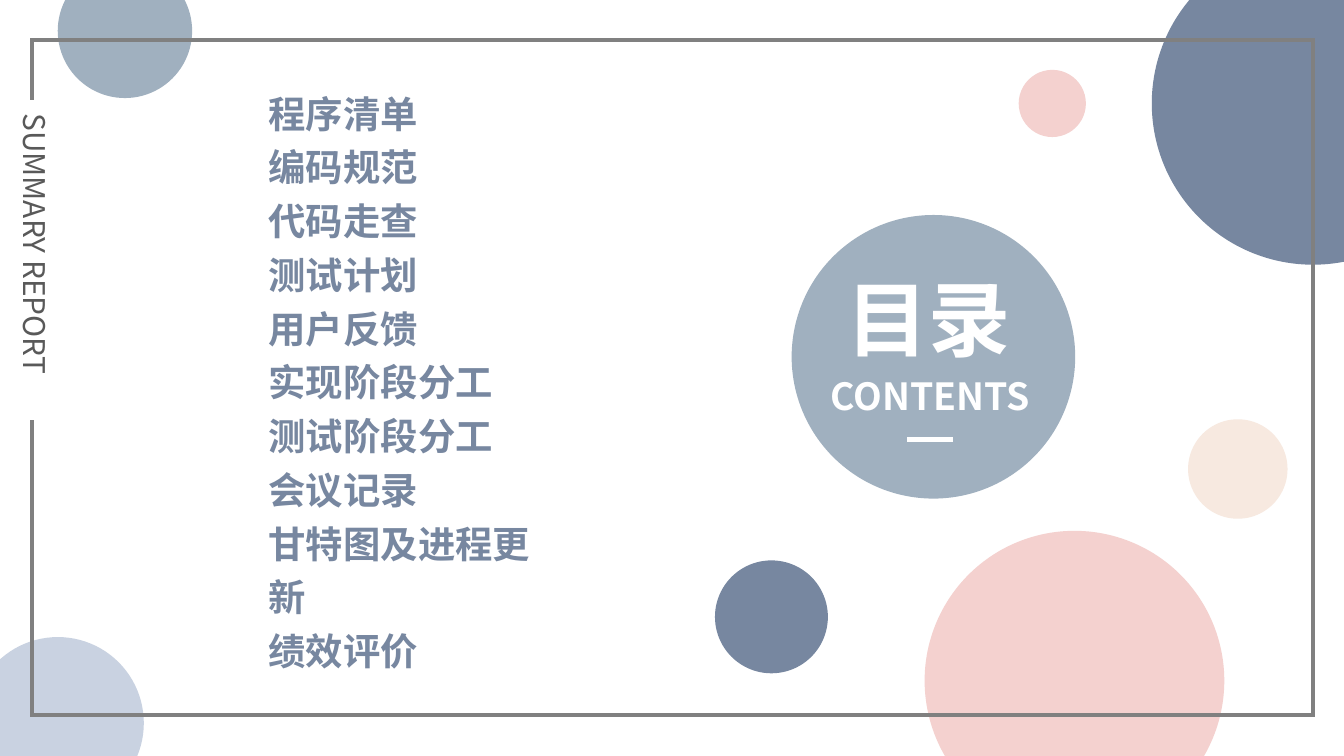
from lxml import etree
from pptx import Presentation
from pptx.dml.color import RGBColor
from pptx.enum.shapes import MSO_CONNECTOR, MSO_SHAPE
from pptx.enum.text import MSO_ANCHOR, PP_ALIGN
from pptx.oxml.ns import qn
from pptx.util import Inches, Pt

OVAL, RECTANGLE = MSO_SHAPE.OVAL, MSO_SHAPE.RECTANGLE
STRAIGHT = MSO_CONNECTOR.STRAIGHT
TOP, MIDDLE = MSO_ANCHOR.TOP, MSO_ANCHOR.MIDDLE
LEFT, CENTER = PP_ALIGN.LEFT, PP_ALIGN.CENTER

WHITE = RGBColor(0xFF, 0xFF, 0xFF)
GREY_BLUE = RGBColor(0xA0, 0xB0, 0xBF)
SLATE = RGBColor(0x77, 0x87, 0xA0)
PINK = RGBColor(0xF4, 0xD1, 0xCF)
CREAM = RGBColor(0xF7, 0xE9, 0xE0)
PALE_BLUE = RGBColor(0xC9, 0xD2, 0xE1)
FRAME_GREY = RGBColor(0x80, 0x80, 0x80)
TEXT_GREY = RGBColor(0x59, 0x59, 0x59)
FONT = "Noto Sans CJK SC"


def add_plain_shape(kind, left, top, width, height, fill=None):
    shape = slide.shapes.add_shape(
        kind, Inches(left), Inches(top), Inches(width), Inches(height))
    shape.shadow.inherit = False
    shape.line.fill.background()
    if fill is None:
        shape.fill.background()
    else:
        shape.fill.solid()
        shape.fill.fore_color.rgb = fill
    return shape


def write_text(box, lines, color, align, anchor, spacing, font_format):
    frame = box.text_frame
    frame.word_wrap = True
    frame.vertical_anchor = anchor
    frame.text = "\n".join(lines)
    for para in frame.paragraphs:
        para.alignment = align
        para.line_spacing = spacing
        for span in para.runs:
            span.font.color.rgb = color
            for name, value in font_format.items():
                setattr(span.font, name, value)
            east_asian = etree.SubElement(span.font._element, qn("a:ea"))
            east_asian.set("typeface", FONT)


# Widescreen page, 16 to 9
deck = Presentation()
deck.slide_width = Inches(10)
deck.slide_height = Inches(10 * 9 / 16)
slide = deck.slides.add_slide(deck.slide_layouts[5])

# Circles: left, top, diameter, fill
circles = [
    (5.89, 1.6, 2.11, GREY_BLUE),
    (8.57, -0.43, 2.4, SLATE),
    (6.88, 3.95, 2.23, PINK),
    (8.84, 3.12, 0.74, CREAM),
    (0.43, -0.27, 1, GREY_BLUE),
    (-0.21, 4.74, 1.28, PALE_BLUE),
    (5.32, 4.17, 0.84, SLATE),
    (7.58, 0.52, 0.5, PINK),
]
for left, top, diameter, fill in circles:
    add_plain_shape(OVAL, left, top, diameter, diameter, fill)

# Square-cornered frame with the side label that interrupts it
border = add_plain_shape(RECTANGLE, 0.24, 0.3, 9.53, 5.02)
border.line.color.rgb = FRAME_GREY
border.line.width = Pt(2.25)
etree.SubElement(border._element.spPr.find(qn("a:ln")), qn("a:miter"), lim="800000")

side_label = add_plain_shape(RECTANGLE, -0.93, 1.75, 2.38, 0.37, WHITE)
side_label.rotation = 90
write_text(side_label, ["SUMMARY REPORT"], TEXT_GREY, LEFT, TOP, 1.0,
           {"name": FONT, "size": Pt(16), "bold": False})

# List of chapters
chapters = ["程序清单", "编码规范", "代码走查", "测试计划", "用户反馈",
            "实现阶段分工", "测试阶段分工", "会议记录",
            "甘特图及进程更新", "绩效评价"]
chapter_box = slide.shapes.add_textbox(
    Inches(1.9), Inches(0.56), Inches(2.42), Inches(4.14))
write_text(chapter_box, chapters, SLATE, LEFT, TOP, 1.2,
           {"name": FONT, "size": Pt(20), "bold": True})

# Title, subtitle and short rule on the large circle
title = slide.shapes.title
title.left, title.top = Inches(6.2), Inches(1.94)
title.width, title.height = Inches(1.44), Inches(0.84)
write_text(title, ["目录"], WHITE, LEFT, MIDDLE, 1.0,
           {"name": FONT, "size": Pt(44), "bold": True})
slide.shapes._spTree.append(title._element)

subtitle = slide.shapes.add_textbox(
    Inches(6.03), Inches(2.73), Inches(1.78), Inches(0.44))
write_text(subtitle, ["CONTENTS"], WHITE, CENTER, TOP, 1.0,
           {"name": FONT, "size": Pt(20), "bold": True})

rule = slide.shapes.add_connector(
    STRAIGHT, Inches(6.75), Inches(3.27), Inches(7.09), Inches(3.27))
rule.line.color.rgb = WHITE
rule.line.width = Pt(2.25)
etree.SubElement(rule._element.spPr, qn("a:effectLst"))

deck.save("out.pptx")
